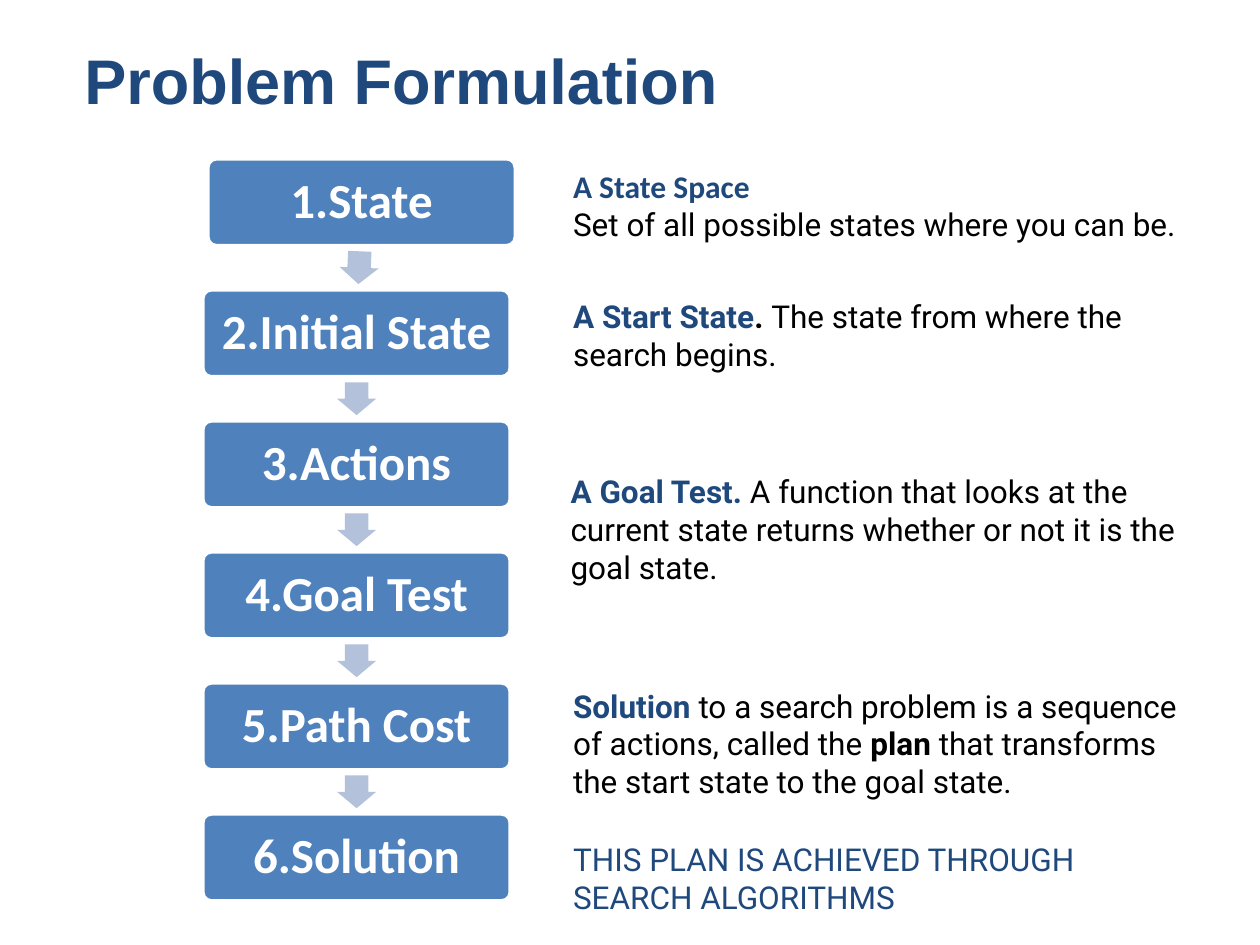
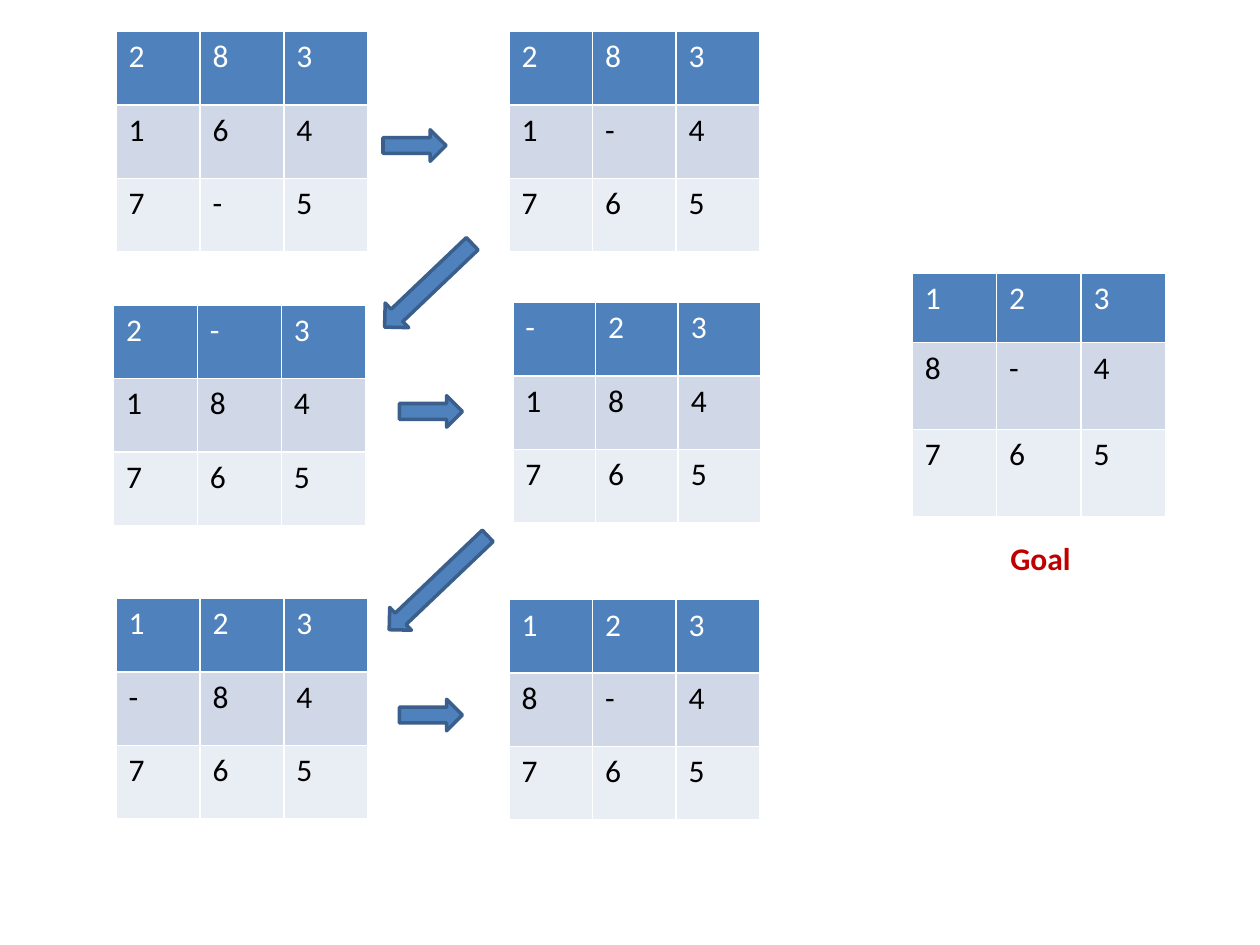
from dataclasses import dataclass

from pptx import Presentation
from pptx import util as u
from pptx.dml.color import RGBColor
from pptx.enum import shapes, text

PX = 9144  # 100 px to the inch


@dataclass(frozen=True)
class Theme:
    navy: str = "1F497D"
    blue: str = "4F81BD"
    outline: str = "3A5F8C"
    pale_arrow: str = "B3C1DB"
    band_dark: str = "D0D8E8"
    band_light: str = "E9EDF4"
    red: str = "C00000"
    black: str = "000000"
    white: str = "FFFFFF"
    title_font: str = "Arial"
    label_font: str = "Calibri"
    note_font: str = "Roboto"
    title_size: int = 36
    step_size: int = 28
    body_size: int = 18


T = Theme()

TITLE = "Problem Formulation"
STEPS = ["1.State", "2.Initial State", "3.Actions", "4.Goal Test", "5.Path Cost", "6.Solution"]

# Each note: box, then paragraphs of runs (text, font, colour, bold)
NOTES = [
    ((445, 128, 530, 71), [
        [("A State Space", T.label_font, T.navy, True)],
        [("Set of all possible states where you can be.", T.note_font, T.black, False)],
    ]),
    ((445, 231, 500, 71), [[
        ("A Start State", T.note_font, T.navy, True),
        (". ", T.note_font, T.black, True),
        ("The state from where the search begins.", T.note_font, T.black, False),
    ]]),
    ((443, 370, 500, 101), [[
        ("A Goal Test. ", T.note_font, T.navy, True),
        ("A function that looks at the current state returns whether or not it is the goal state.",
         T.note_font, T.black, False),
    ]]),
    ((445, 540, 500, 101), [[
        ("Solution ", T.note_font, T.navy, True),
        ("to a search problem is a sequence of actions, called the ", T.note_font, T.black, False),
        ("plan ", T.note_font, T.black, True),
        ("that transforms the start state to the goal state.", T.note_font, T.black, False),
    ]]),
    ((445, 662, 500, 71), [[
        ("THIS PLAN IS ACHIEVED THROUGH SEARCH ALGORITHMS", T.note_font, T.navy, False),
    ]]),
]

# Each board: box, then its three rows of tiles
BOARDS = [
    ((92, 25, 200, 175), ["283", "164", "7-5"]),
    ((404, 25, 199, 175), ["283", "1-4", "765"]),
    ((90, 242, 200, 175), ["2-3", "184", "765"]),
    ((407, 240, 197, 175), ["-23", "184", "765"]),
    ((92, 475, 200, 175), ["123", "-84", "765"]),
    ((404, 476, 199, 175), ["123", "8-4", "765"]),
]
GOAL_BOX, GOAL_TILES = (724, 217, 201, 192), ["123", "8-4", "765"]
GOAL_ROW_HEIGHTS = (55, 69, 69)
GOAL_LABEL = ((792, 423, 92, 40), [[("Goal", T.label_font, T.red, True)]])

BACK_TURN = 136.4
MOVES = [
    ((304, 103, 50, 25), 0),
    ((294, 450, 108, 25), BACK_TURN),
    ((317, 314, 50, 25), 0),
    ((292, 213, 96, 27), BACK_TURN),
    ((317, 555, 50, 25), 0),
]


def emu(box):
    return [v * PX for v in box]


def rgb(colour):
    return RGBColor.from_string(colour)


def style_font(font, name, size, colour, bold=False):
    font.name, font.size, font.bold = name, u.Pt(size), bold
    font.color.rgb = rgb(colour)


def set_insets(tf, inset):
    tf.margin_left = tf.margin_top = tf.margin_right = tf.margin_bottom = inset * PX


def add_filled(slide, kind, box, fill, line=None, rotation=0):
    sp = slide.shapes.add_shape(kind, *emu(box))
    sp.shadow.inherit = False
    sp.rotation = rotation
    sp.fill.solid()
    sp.fill.fore_color.rgb = rgb(fill)
    if line:
        sp.line.color.rgb = rgb(line)
        sp.line.width = u.Pt(2)
    else:
        sp.line.fill.background()
    return sp


def add_note(slide, box, paragraphs):
    tf = slide.shapes.add_textbox(*emu(box)).text_frame
    tf.word_wrap = True
    for i, runs in enumerate(paragraphs):
        p = tf.add_paragraph() if i else tf.paragraphs[0]
        for words, name, colour, bold in runs:
            r = p.add_run()
            r.text = words
            style_font(r.font, name, T.body_size, colour, bold)


def add_title(slide):
    sp = slide.shapes.title
    sp.left, sp.top, sp.width, sp.height = emu((67, 33, 546, 61))
    tf = sp.text_frame
    tf.text = TITLE
    set_insets(tf, 0)
    tf.vertical_anchor = text.MSO_ANCHOR.TOP
    p = tf.paragraphs[0]
    p.alignment = text.PP_ALIGN.LEFT
    style_font(p.runs[0].font, T.title_font, T.title_size, T.navy, True)


def add_steps(slide):
    """Stack the step boxes with an arrow between neighbours; the first pair sits a little right."""
    pitch = 104
    for i, step in enumerate(STEPS):
        first = i == 0
        sp = add_filled(slide, shapes.MSO_SHAPE.ROUNDED_RECTANGLE,
                        (165 if first else 161, 126 + i * pitch, 244, 69), T.blue, T.white)
        sp.adjustments[0] = 0.1
        tf = sp.text_frame
        tf.text = step
        tf.word_wrap = True
        tf.vertical_anchor = text.MSO_ANCHOR.MIDDLE
        set_insets(tf, 12)
        p = tf.paragraphs[0]
        p.alignment = text.PP_ALIGN.CENTER
        p.line_spacing = 0.9
        style_font(p.runs[0].font, T.label_font, T.step_size, T.white, True)
        if i < len(STEPS) - 1:
            arrow = add_filled(slide, shapes.MSO_SHAPE.RIGHT_ARROW,
                               (272 if first else 270, 197 + i * pitch, 26, 31),
                               T.pale_arrow, rotation=92.4 if first else 90)
            arrow.adjustments[0] = 0.6


def add_board(slide, box, tiles, row_heights=()):
    table = slide.shapes.add_table(len(tiles), len(tiles[0]), *emu(box)).table
    for row, height in zip(table.rows, row_heights):
        row.height = height * PX
    fills = (T.blue, T.band_dark, T.band_light)
    for r, row_tiles in enumerate(tiles):
        for c, tile in enumerate(row_tiles):
            cell = table.cell(r, c)
            cell.text = tile
            cell.fill.solid()
            cell.fill.fore_color.rgb = rgb(fills[r])
            style_font(cell.text_frame.paragraphs[0].runs[0].font, T.label_font,
                       T.body_size, T.black if r else T.white)


def build_formulation(prs):
    slide = prs.slides.add_slide(prs.slide_layouts.get_by_name("Title Only"))
    add_title(slide)
    add_steps(slide)
    for box, paragraphs in NOTES:
        add_note(slide, box, paragraphs)


def build_puzzle(prs):
    slide = prs.slides.add_slide(prs.slide_layouts.get_by_name("Blank"))
    for box, tiles in BOARDS:
        add_board(slide, box, tiles)
    for box, turn in MOVES:
        add_filled(slide, shapes.MSO_SHAPE.RIGHT_ARROW, box, T.blue, T.outline, turn)
    add_board(slide, GOAL_BOX, GOAL_TILES, GOAL_ROW_HEIGHTS)
    add_note(slide, *GOAL_LABEL)


def main():
    prs = Presentation()
    prs.slide_width, prs.slide_height = emu((1000, 750))
    build_formulation(prs)
    build_puzzle(prs)
    prs.save("out.pptx")


if __name__ == "__main__":
    main()
